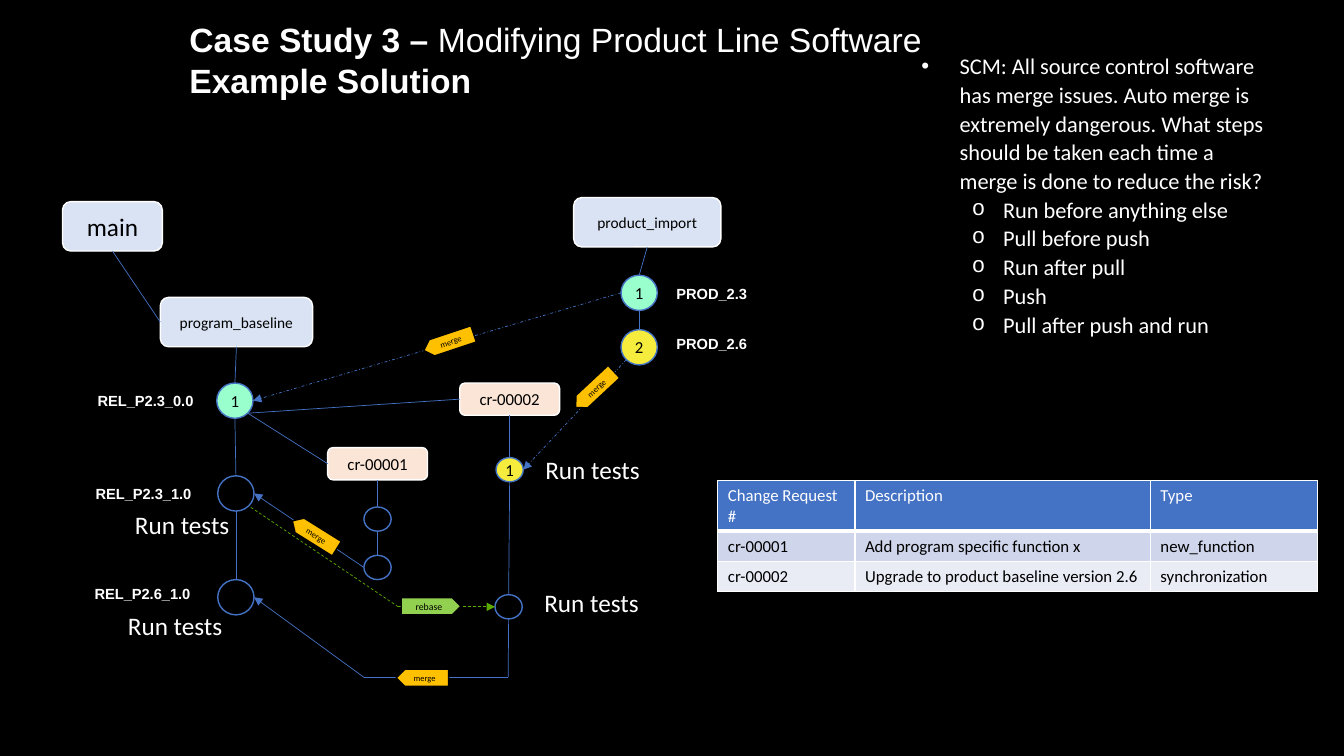
from lxml.etree import SubElement
from pptx import Presentation
from pptx.dml.color import RGBColor
from pptx.enum.dml import MSO_LINE
from pptx.enum.shapes import MSO_CONNECTOR, MSO_SHAPE
from pptx.enum.text import MSO_ANCHOR, MSO_AUTO_SIZE, PP_ALIGN
from pptx.oxml.ns import qn
from pptx.util import Inches, Pt

COLORS = {
    "black": "000000", "white": "FFFFFF", "blue": "4472C4", "baseline": "DAE3F3",
    "change": "FBE5D6", "mint": "99FFCC", "yellow": "F5EC3D", "merge": "FFC000",
    "rebase": "92D050", "green": "5DAA00", "band": "CFD5EA", "light band": "E9EBF5",
}

TITLE = [[("Case Study 3 – ", True), ("Modifying Product Line Software", False)],
         [("Example Solution", True)]]

QUESTION = ("SCM: All source control software has merge issues. Auto merge is extremely "
            "dangerous. What steps should be taken each time a merge is done to reduce the risk?")
STEPS = ["Run before anything else", "Pull before push", "Run after pull", "Push",
         "Pull after push and run"]

REQUESTS = [
    ("Change Request #", "Description", "Type"),
    ("cr-00001", "Add program specific function x", "new_function"),
    ("cr-00002", "Upgrade to product baseline version 2.6", "synchronization"),
]
REQUEST_WIDTHS = [1.36, 2.93, 1.66]
REQUEST_HEIGHTS = [0.5, 0.3, 0.3]
REQUEST_FILLS = ["blue", "band", "light band"]

BRANCHES = {
    "main": (0.62, 2, 0.99, 0.49, "baseline", 18),
    "program_baseline": (1.59, 2.95, 1.51, 0.49, "baseline", 11),
    "product_import": (5.69, 1.96, 1.46, 0.49, "baseline", 11),
    "cr-00001": (3.25, 4.44, 0.99, 0.32, "change", 12),
    "cr-00002": (4.56, 3.8, 0.99, 0.32, "change", 12),
}

LARGE, SMALL = (0.36, 0.35), (0.27, 0.24)
COMMITS = {
    "P2.3_0.0": (2.15, 3.8, LARGE, "mint", "1"),
    "P2.3_1.0": (2.16, 4.72, LARGE, None, ""),
    "P2.6_1.0": (2.16, 5.75, LARGE, None, ""),
    "product 2.3": (6.16, 2.73, LARGE, "mint", "1"),
    "product 2.6": (6.16, 3.27, LARGE, "yellow", "2"),
    "function 1": (3.61, 5.03, SMALL, None, ""),
    "function 2": (3.61, 5.51, SMALL, None, ""),
    "sync 1": (4.92, 4.54, SMALL, "yellow", "1"),
    "sync 2": (4.91, 5.9, SMALL, None, ""),
}

BENDS = {"rebase bend": (3.95, 6.02), "merge left": (3.61, 6.72), "merge right": (5.04, 6.72)}

SIDES = {"": (0, 0), "top": (0, -1), "left": (-1, 0), "bottom": (0, 1), "right": (1, 0),
         "lower left": (-0.71, 0.71), "lower right": (0.71, 0.71)}
SITES = ["top", "left", "bottom", "right"]

LINKS = [
    ("main", "bottom", "program_baseline", "left", "plain"),
    ("program_baseline", "bottom", "P2.3_0.0", "top", "plain"),
    ("P2.3_0.0", "bottom", "P2.3_1.0", "top", "plain"),
    ("P2.3_1.0", "bottom", "P2.6_1.0", "top", "plain"),
    ("product_import", "bottom", "product 2.3", "top", "plain"),
    ("product 2.3", "bottom", "product 2.6", "top", "plain"),
    ("P2.3_0.0", "lower right", "cr-00001", "left", "plain"),
    ("P2.3_0.0", "lower right", "cr-00002", "left", "plain"),
    ("cr-00001", "bottom", "function 1", "top", "plain"),
    ("function 1", "bottom", "function 2", "top", "plain"),
    ("cr-00002", "bottom", "sync 1", "top", "plain"),
    ("sync 1", "bottom", "sync 2", "top", "plain"),
    ("sync 2", "bottom", "merge right", "", "plain"),
    ("merge left", "", "merge right", "", "plain"),
    ("merge left", "", "P2.6_1.0", "right", "merge"),
    ("function 2", "left", "P2.3_1.0", "right", "merge"),
    ("product 2.3", "left", "P2.3_0.0", "right", "import"),
    ("product 2.6", "lower left", "sync 1", "right", "import"),
    ("rebase bend", "", "P2.3_1.0", "lower right", "rebase"),
    ("rebase bend", "", "sync 2", "left", "rebase arrow"),
]
LINK_STYLES = {
    "plain": ("blue", None, False),
    "merge": ("blue", None, True),
    "import": ("blue", MSO_LINE.DASH_DOT, True),
    "rebase": ("green", MSO_LINE.DASH, False),
    "rebase arrow": ("green", MSO_LINE.DASH, True),
}

TAGS = [
    ("merge", 2.86, 5.22, 0.52, 32, 6),
    ("merge", 3.93, 6.64, 0.52, 0, 6),
    ("merge", 4.19, 3.31, 0.52, 341.6, 6),
    ("merge", 5.64, 3.78, 0.52, 317, 6),
    ("rebase", 3.98, 5.93, 0.59, 0, 7),
]

RELEASES = [
    ("REL_P2.3_0.0", 0.87, 3.84, 1.29), ("REL_P2.3_1.0", 0.85, 4.76, 1.17),
    ("REL_P2.6_1.0", 0.84, 5.75, 1.17), ("PROD_2.3", 6.61, 2.78, 0.92),
    ("PROD_2.6", 6.61, 3.27, 0.92),
]
TEST_SPOTS = [(5.31, 4.46), (5.3, 5.78), (1.17, 6.01), (1.24, 5)]


def rgb(name):
    return RGBColor.from_string(COLORS[name])


def set_font(paragraph, size, color, face="Calibri", bold=None):
    font = paragraph.font
    font.size, font.name, font.bold = Pt(size), face, bold
    font.color.rgb = rgb(color)


def add_node(kind, x, y, w, h, fill, line, text, size, inset=None):
    node = slide.shapes.add_shape(kind, Inches(x), Inches(y), Inches(w), Inches(h))
    node.shadow.inherit = False
    if fill:
        node.fill.solid()
        node.fill.fore_color.rgb = rgb(fill)
    else:
        node.fill.background()
    node.line.color.rgb = rgb(line)
    node.line.width = Pt(1)
    if text:
        frame = node.text_frame
        frame.vertical_anchor = MSO_ANCHOR.MIDDLE
        if inset is not None:
            frame.word_wrap = False
            frame.margin_left = frame.margin_right = Inches(inset)
            frame.margin_top = frame.margin_bottom = Inches(inset)
        label = frame.paragraphs[0]
        label.text, label.alignment = text, PP_ALIGN.CENTER
        set_font(label, size, "black")
    return node


def add_text(x, y, w, h, wrap=True):
    frame = slide.shapes.add_textbox(Inches(x), Inches(y), Inches(w), Inches(h)).text_frame
    frame.word_wrap = wrap
    return frame


def add_label(text, x, y, w, h, size, face, bold):
    frame = add_text(x, y, w, h, wrap=False)
    frame.auto_size = MSO_AUTO_SIZE.SHAPE_TO_FIT_TEXT
    frame.paragraphs[0].text = text
    set_font(frame.paragraphs[0], size, "white", face, bold)


def anchor(name, side):
    if name in BENDS:
        return [Inches(v) for v in BENDS[name]]
    node, (dx, dy) = nodes[name], SIDES[side]
    return [int(node.left + node.width * (1 + dx) / 2), int(node.top + node.height * (1 + dy) / 2)]


def add_link(start, start_side, end, end_side, style):
    color, dash, arrow = LINK_STYLES[style]
    link = slide.shapes.add_connector(MSO_CONNECTOR.STRAIGHT, *anchor(start, start_side),
                                      *anchor(end, end_side))
    if start in BRANCHES:
        link.begin_connect(nodes[start], SITES.index(start_side))
    if end in BRANCHES:
        link.end_connect(nodes[end], SITES.index(end_side))
    link.line.color.rgb = rgb(color)
    link.line.width = Pt(0.5)
    if dash:
        link.line.dash_style = dash
    if arrow:
        SubElement(link.line._get_or_add_ln(), qn("a:tailEnd"), type="triangle")
    SubElement(link._element.spPr, qn("a:effectLst"))


def add_bullet(paragraph, text, mark, face, indent, hang):
    paragraph.text, paragraph.line_spacing = text, 1.07
    props = paragraph._p.get_or_add_pPr()
    props.set("marL", str(Inches(indent)))
    props.set("indent", str(-Inches(hang)))
    SubElement(props, qn("a:buFont"), typeface=face)
    SubElement(props, qn("a:buChar"), char=mark)
    set_font(paragraph, 16, "white")


def add_border(cell, edge, points):
    line = SubElement(cell._tc.get_or_add_tcPr(), qn("a:ln" + edge), w=str(Pt(points)))
    SubElement(SubElement(line, qn("a:solidFill")), qn("a:srgbClr"), val=COLORS["white"])


prs = Presentation()
prs.slide_width, prs.slide_height = Inches(13.33), Inches(7.5)
slide = prs.slides.add_slide(prs.slide_layouts[6])
slide.background.fill.solid()
slide.background.fill.fore_color.rgb = rgb("black")

title = add_text(1.78, 0.13, 8.35, 0.92)
title.vertical_anchor = MSO_ANCHOR.MIDDLE
for i, parts in enumerate(TITLE):
    heading = title.add_paragraph() if i else title.paragraphs[0]
    set_font(heading, 24, "white", "Arial")
    for words, bold in parts:
        run = heading.add_run()
        run.text, run.font.bold = words, bold

requests = slide.shapes.add_table(3, 3, Inches(7.12), Inches(4.77), Inches(5.95), Inches(1.1)).table
for column, width in zip(requests.columns, REQUEST_WIDTHS):
    column.width = Inches(width)
for r, request in enumerate(REQUESTS):
    requests.rows[r].height = Inches(REQUEST_HEIGHTS[r])
    for c, text in enumerate(request):
        cell = requests.cell(r, c)
        for edge in "LRTB":
            thick = (r == 0 and edge == "B") or (r == 1 and edge == "T")
            add_border(cell, edge, 3 if thick else 1)
        cell.fill.solid()
        cell.fill.fore_color.rgb = rgb(REQUEST_FILLS[r])
        cell.text = text
        set_font(cell.text_frame.paragraphs[0], 12, "black" if r else "white", bold=False)

nodes = {}
for name, (x, y, w, h, fill, size) in BRANCHES.items():
    nodes[name] = add_node(MSO_SHAPE.FLOWCHART_ALTERNATE_PROCESS, x, y, w, h, fill, "white", name, size)
for name, (x, y, size, fill, number) in COMMITS.items():
    nodes[name] = add_node(MSO_SHAPE.FLOWCHART_CONNECTOR, x, y, *size, fill, "blue", number, 12, 0)
for link in LINKS:
    add_link(*link)
for action, x, y, w, angle, size in TAGS:
    tag = add_node(MSO_SHAPE.PENTAGON, x, y, w, 0.17, action, "black", action, size, 0)
    tag.rotation = angle
    if action == "merge":
        tag._element.spPr.xfrm.set("flipH", "1")

for text, x, y, w in RELEASES:
    add_label(text, x, y, w, 0.28, 10.5, "Arial", True)
for x, y in TEST_SPOTS:
    add_label("Run tests", x, y, 1.15, 0.4, 18, "Calibri", False)

advice = add_text(9.04, 0.45, 3.71, 2.98)
advice.auto_size = MSO_AUTO_SIZE.SHAPE_TO_FIT_TEXT
add_bullet(advice.paragraphs[0], QUESTION, "•", "Arial", 0.38, 0.38)
for step in STEPS:
    item = advice.add_paragraph()
    item.level = 1
    add_bullet(item, step, "o", "Courier New", 0.81, 0.31)

prs.save("out.pptx")
